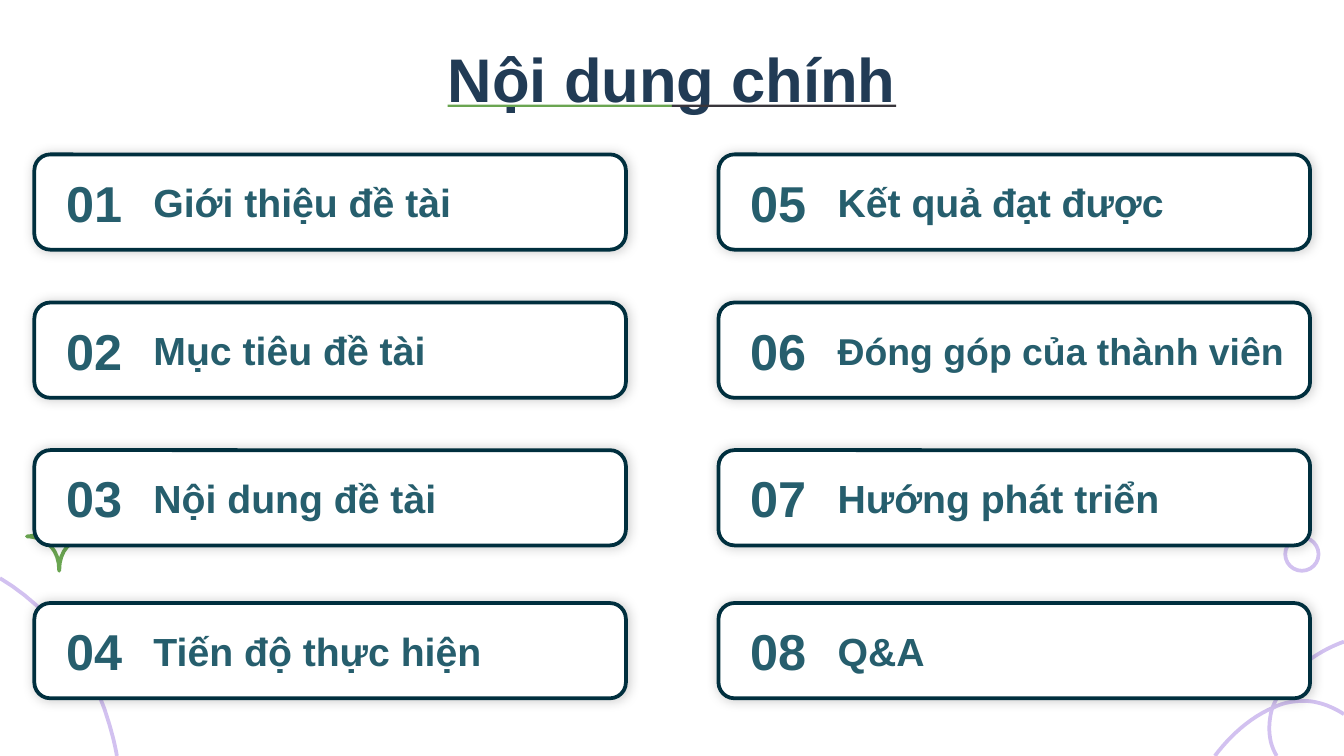
"""Builds the table-of-contents slide with eight numbered cards."""
from lxml.etree import SubElement
from pptx import Presentation
from pptx.dml.color import RGBColor
from pptx.enum.shapes import MSO_SHAPE as SHAPE
from pptx.enum.text import MSO_ANCHOR as ANCHOR, PP_ALIGN as ALIGN
from pptx.oxml.ns import qn
from pptx.util import Cm, Pt

TITLE = "Nội dung chính"
TOPICS = [
    ("Giới thiệu đề tài", 21), ("Mục tiêu đề tài", 21),
    ("Nội dung đề tài", 21), ("Tiến độ thực hiện", 21),
    ("Kết quả đạt được", 21), ("Đóng góp của thành viên", 20),
    ("Hướng phát triển", 21), ("Q&A", 21),
]
COLORS = {
    "title": "213B55", "text": "265E6D", "border": "002F3E", "card": "FFFFFF",
    "lilac": "D2C1F0", "green": "6AA551", "dark": "38353B", "shadow": "000000",
}
FONT = "Arial"
WIDTH, HEIGHT = 25.4, 14.29
COLUMNS = [0.65, 13.58]
ROWS = [2.92, 5.72, 8.51, 11.4]
CARD_W, CARD_H, NUMBER_W = 11.18, 1.8, 2
INSET = 0.25

# Each curve: colour, closed, start point, then cubic segments
CURVES = [
    ("green", True, (1.12, 9.5), [
        ((1.12, 10.11), (0.58, 10.14), (0.51, 10.14)),
        ((0.58, 10.14), (1.12, 10.17), (1.12, 10.79)),
        ((1.12, 10.17), (1.66, 10.14), (1.73, 10.14)),
        ((1.66, 10.14), (1.12, 10.11), (1.12, 9.5)),
    ]),
    ("lilac", False, (0, 10.93), [
        ((0.97, 11.51), (1.73, 12.5), (2.07, 13.7)),
        ((2.13, 13.91), (2.18, 14.1), (2.21, 14.29)),
    ]),
    ("lilac", False, (25.4, 12.13), [
        ((25.1, 12.24), (24.82, 12.4), (24.59, 12.6)),
        ((24.36, 12.81), (24.16, 13.09), (24.04, 13.4)),
        ((23.95, 13.74), (23.98, 14.05), (24.13, 14.29)),
    ]),
    ("lilac", False, (22.96, 14.29), [
        ((23.24, 13.92), (23.62, 13.56), (24.08, 13.37)),
        ((24.26, 13.28), (24.46, 13.25), (24.64, 13.25)),
        ((24.89, 13.25), (25.15, 13.34), (25.4, 13.5)),
    ]),
]


def paint(s, fill=None, line=None):
    s.shadow.inherit = False
    if fill:
        s.fill.solid()
        s.fill.fore_color.rgb = RGBColor.from_string(COLORS[fill])
    else:
        s.fill.background()
    if line:
        s.line.color.rgb = RGBColor.from_string(COLORS[line])
        s.line.width = Pt(2)
    else:
        s.line.fill.background()


def add_shape(slide, kind, x, y, w, h, fill=None, line=None):
    s = slide.shapes.add_shape(kind, Cm(x), Cm(y), Cm(w), Cm(h))
    paint(s, fill, line)
    return s


def add_glow(s):
    effects = s._element.spPr.find(qn("a:effectLst"))
    shadow = SubElement(effects, qn("a:outerShdw"), blurRad=str(Pt(6)), dist="0", dir="0",
                        algn="ctr", rotWithShape="0")
    color = SubElement(shadow, qn("a:srgbClr"), val=COLORS["shadow"])
    SubElement(color, qn("a:alpha"), val="20000")


def bezier(p0, p1, p2, p3, steps=12):
    for i in range(1, steps + 1):
        t = i / steps
        u = 1 - t
        yield tuple(Cm(u**3 * a + 3 * u * u * t * b + 3 * u * t * t * c + t**3 * d)
                    for a, b, c, d in zip(p0, p1, p2, p3))


def add_curve(slide, color, closed, start, segments):
    points, p0 = [], start
    for segment in segments:
        points += bezier(p0, *segment)
        p0 = segment[-1]
    builder = slide.shapes.build_freeform(Cm(start[0]), Cm(start[1]))
    builder.add_line_segments(points, close=closed)
    paint(builder.convert_to_shape(), line=color)


def set_text(s, text, size, color, anchor, align, left=INSET):
    tf = s.text_frame
    tf.text = text
    tf.word_wrap = True
    tf.vertical_anchor = anchor
    tf.margin_left = Cm(left)
    tf.margin_top = tf.margin_right = tf.margin_bottom = Cm(INSET)
    p = tf.paragraphs[0]
    p.alignment = align
    font = p.runs[0].font
    font.name, font.size, font.bold = FONT, Pt(size), True
    font.color.rgb = RGBColor.from_string(COLORS[color])


def add_label(slide, text, size, x, y, w, left=INSET):
    s = slide.shapes.add_textbox(Cm(x), Cm(y), Cm(w), Cm(CARD_H))
    set_text(s, text, size, "text", ANCHOR.MIDDLE, ALIGN.LEFT, left)


def add_card(slide, number, topic, size, x, y):
    card = add_shape(slide, SHAPE.ROUNDED_RECTANGLE, x, y, CARD_W, CARD_H, "card", "border")
    card.adjustments[0] = 0.167
    add_glow(card)
    add_label(slide, f"{number:02d}", 27, x, y, NUMBER_W, left=0.6)
    add_label(slide, topic, size, x + NUMBER_W, y, CARD_W - NUMBER_W)


def main():
    prs = Presentation()
    prs.slide_width, prs.slide_height = Cm(WIDTH), Cm(HEIGHT)
    slide = prs.slides.add_slide(prs.slide_layouts[5])

    add_shape(slide, SHAPE.OVAL, 24.29, 10.16, 0.63, 0.63, line="lilac")
    for curve in CURVES:
        add_curve(slide, *curve)

    title = slide.shapes.title
    title.left, title.top, title.width, title.height = Cm(1.09), Cm(0.53), Cm(23.22), Cm(1.93)
    set_text(title, TITLE, 33, "title", ANCHOR.TOP, ALIGN.CENTER)
    half = 4.24
    for i, color in enumerate(("green", "dark")):
        add_shape(slide, SHAPE.RECTANGLE, WIDTH / 2 + (i - 1) * half, 1.98, half, 0.04, color)

    for i, (topic, size) in enumerate(TOPICS):
        col, row = divmod(i, len(ROWS))
        add_card(slide, i + 1, topic, size, COLUMNS[col], ROWS[row])

    prs.save("out.pptx")


if __name__ == "__main__":
    main()
